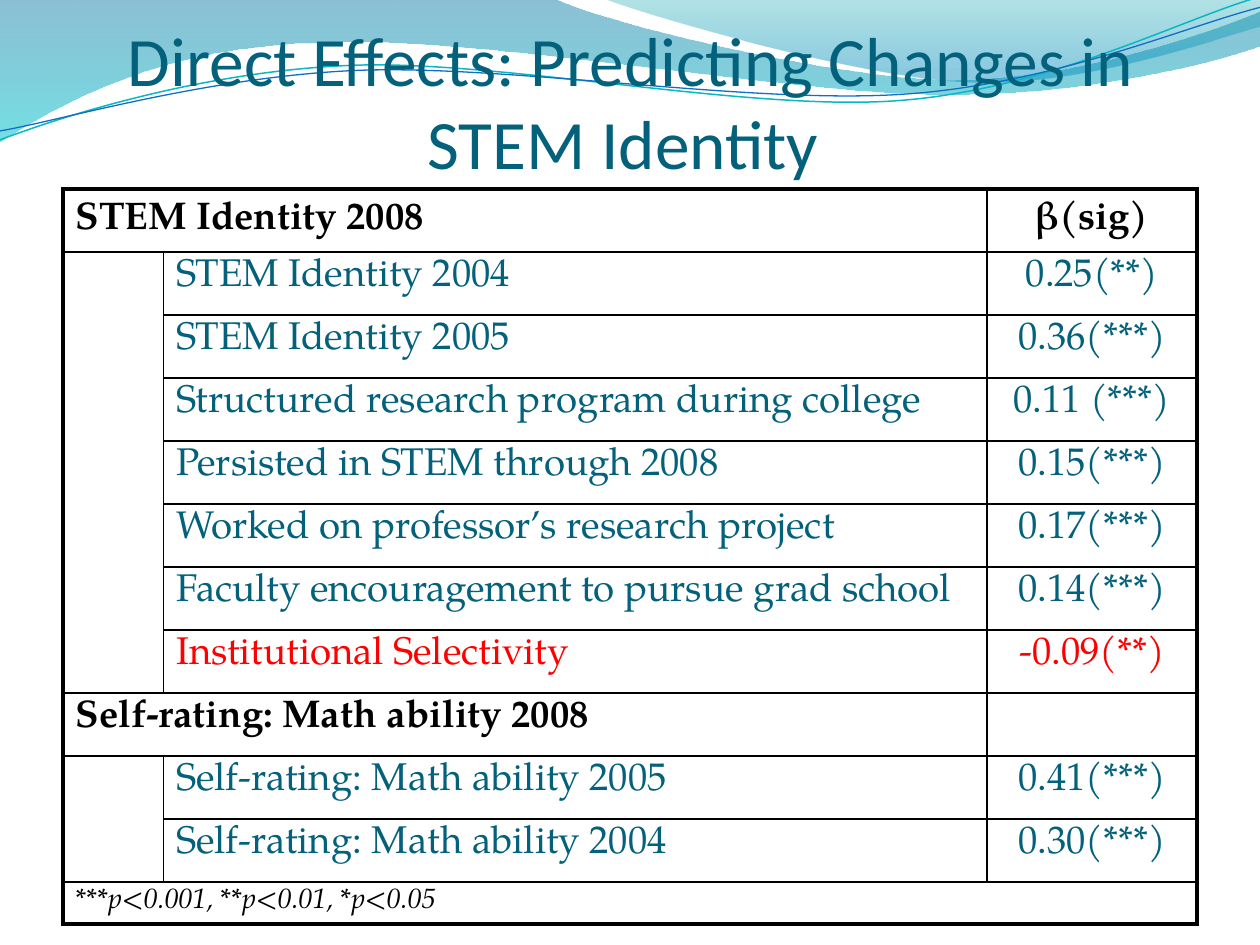
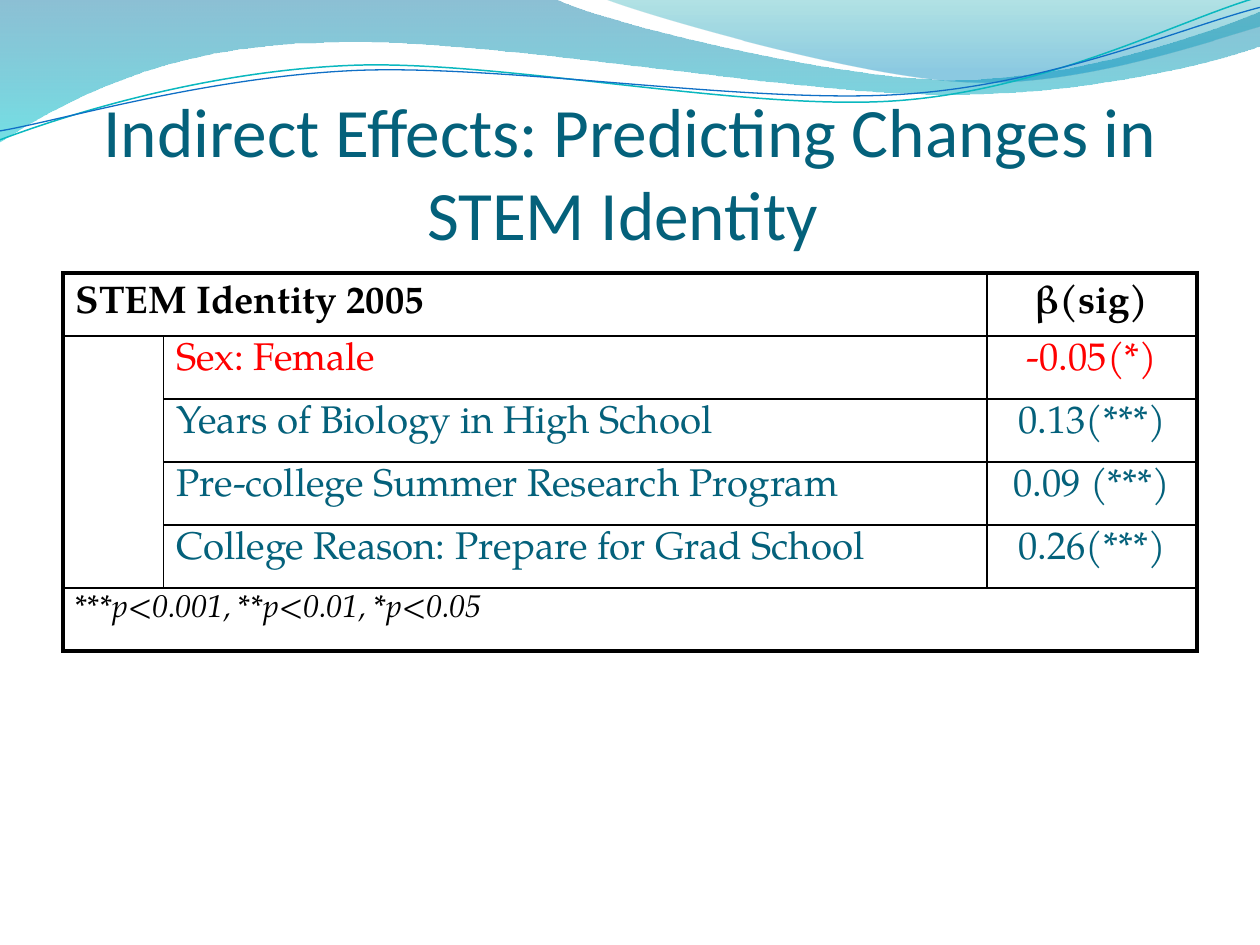
from dataclasses import dataclass
from itertools import chain, product

from lxml import etree
from pptx import Presentation
from pptx.dml.color import RGBColor
from pptx.enum.text import MSO_ANCHOR, PP_ALIGN
from pptx.oxml.ns import qn
from pptx.util import Cm, Pt

LEFT, CENTER = PP_ALIGN.LEFT, PP_ALIGN.CENTER
TOP, MIDDLE, BOTTOM = MSO_ANCHOR.TOP, MSO_ANCHOR.MIDDLE, MSO_ANCHOR.BOTTOM
BLANK_LAYOUT = 6


@dataclass(frozen=True)
class Theme:
    ink: str = "000000"
    teal: str = "04617B"
    negative: str = "FF0000"
    title_font: str = "Calibri"
    table_font: str = "TeX Gyre Pagella"
    title_size: float = 39.6
    cell_size: float = 22
    thin: float = 1
    thick: float = 2.25
    margin: float = 1.27
    content_width: float = 22.86
    columns: tuple = (2.03, 16.6, 4.23)
    row_height: float = 1.27
    note_bottom: float = 0.04


BANDS = [
    ([(0, "0074A1", 45), (1, "00C6CF", 55)], (0, -0.03), [
        [(11.18, -0.03)],
        [(12.09, 0.43), (16.87, 1.6), (19.25, 1.6)],
        [(21.67, 1.6), (24.33, 0.66), (25.4, 0.23)],
        [(25.43, 0.91)],
        [(24.97, 1.12), (22.1, 1.93), (18.95, 1.9)],
        [(15.8, 1.9), (9.7, 0.71), (6.53, 0.86)],
        [(3.28, 0.89), (1.17, 2.11), (-0.03, 2.87)],
        [(0, -0.03)],
    ]),
    ([(0, "00A1A9", 30), (0.8, "008BBF", 45)], (12.17, -0.03), [
        [(12.93, 0.28), (17.32, 1.57), (19.53, 1.65)],
        [(21.74, 1.75), (24.41, 0.81), (25.4, 0.53)],
        [(25.4, 0)],
        [(12.17, -0.03)],
    ]),
]
STRANDS = [
    ("0AB8BF", 0.85, (0, 2.82), [
        [(1.22, 2.36), (4.01, 1.45), (7.04, 1.32)],
        [(10.03, 1.19), (15.06, 2.26), (18.11, 2.03)],
        [(21.16, 1.8), (23.83, 0.38), (25.35, -0.05)],
    ]),
    ("0F6FC6", 0.75, (0, 2.64), [
        [(1.19, 2.44), (4.17, 1.55), (7.19, 1.42)],
        [(10.24, 1.3), (15.16, 2.11), (18.21, 1.9)],
        [(21.23, 1.7), (23.9, 0.53), (25.4, 0.15)],
    ]),
]

DIRECT_EFFECTS = [
    ("STEM Identity 2008", "β(sig)", [
        ("STEM Identity 2004", "0.25(**)"),
        ("STEM Identity 2005", "0.36(***)"),
        ("Structured research program during college", "0.11 (***)"),
        ("Persisted in STEM through 2008", "0.15(***)"),
        ("Worked on professor’s research project", "0.17(***)"),
        ("Faculty encouragement to pursue grad school", "0.14(***)"),
        ("Institutional Selectivity", "-0.09(**)"),
    ]),
    ("Self-rating: Math ability 2008", "", [
        ("Self-rating: Math ability 2005", "0.41(***)"),
        ("Self-rating: Math ability 2004", "0.30(***)"),
    ]),
]
INDIRECT_EFFECTS = [
    ("STEM Identity 2005", "β(sig)", [
        ("Sex: Female", "-0.05(*)"),
        ("Years of Biology in High School", "0.13(***)"),
        ("Pre-college Summer Research Program", "0.09 (***)"),
        ("College Reason: Prepare for Grad School", "0.26(***)"),
    ]),
]
SIGNIFICANCE = "***p<0.001, **p<0.01, *p<0.05"


def write(frame, text, *, font, size, color, align=LEFT, bold=False, italic=False):
    para = frame.paragraphs[0]
    para.alignment = align
    span = para.add_run()
    span.text = text
    span.font.name = font
    span.font.size = Pt(size)
    span.font.bold = bold
    span.font.italic = italic
    span.font.color.rgb = RGBColor.from_string(color)


class SlideBuilder:
    def __init__(self, deck, theme):
        self.deck = deck
        self.theme = theme
        self.layout = deck.slide_layouts[BLANK_LAYOUT]
        self.page = None

    def new_page(self):
        self.page = self.deck.slides.add_slide(self.layout)

    def shared_waves(self):
        for holder in list(self.layout.placeholders):
            self.layout.shapes.element.remove(holder.element)
        waves = [self.band(*band) for band in BANDS]
        waves += [self.strand(*strand) for strand in STRANDS]
        for wave in waves:
            self.layout.shapes.element.append(wave.element)

    def outline(self, start, segments):
        points = [(Cm(x), Cm(y)) for x, y in chain([start], *segments)]
        builder = self.page.shapes.build_freeform(*points[0], scale=1.0)
        builder.add_line_segments(points[1:], close=start == segments[-1][-1])
        shape = builder.convert_to_shape()
        shape.shadow.inherit = False
        lines = iter(list(shape.element.iter(qn("a:lnTo"))))
        for segment in segments:
            steps = [next(lines) for _ in segment]
            if len(steps) == 3:
                curve = etree.Element(qn("a:cubicBezTo"))
                steps[0].addprevious(curve)
                for step in steps:
                    curve.append(step[0])
                    step.getparent().remove(step)
        return shape

    def band(self, stops, start, segments):
        shape = self.outline(start, segments)
        shape.line.fill.background()
        shape.fill.gradient()
        shape.fill.gradient_angle = 270
        for stop, (position, color, _) in zip(shape.fill.gradient_stops, stops):
            stop.position = position
            stop.color.rgb = RGBColor.from_string(color)
        gradient = shape.element.spPr.find(qn("a:gradFill"))
        for tint, (_, _, opacity) in zip(gradient.iter(qn("a:srgbClr")), stops):
            etree.SubElement(tint, qn("a:alpha")).set("val", str(opacity * 1000))
        return shape

    def strand(self, color, width, start, segments):
        shape = self.outline(start, segments)
        shape.fill.background()
        shape.line.color.rgb = RGBColor.from_string(color)
        shape.line.width = Pt(width)
        return shape

    def title(self, text, left, top, height):
        theme = self.theme
        box = self.page.shapes.add_textbox(
            Cm(left), Cm(top), Cm(theme.content_width), Cm(height))
        frame = box.text_frame
        frame.word_wrap = True
        frame.vertical_anchor = BOTTOM
        frame.margin_left = frame.margin_right = frame.margin_bottom = 0
        write(frame, text, font=theme.title_font, size=theme.title_size,
              color=theme.teal, align=CENTER)

    def cell_text(self, cell, text, anchor=TOP, **style):
        cell.vertical_anchor = anchor
        if text:
            style = {"size": self.theme.cell_size, "color": self.theme.ink, **style}
            write(cell.text_frame, text, font=self.theme.table_font, **style)

    def border(self, cell, sides):
        properties = cell._tc.get_or_add_tcPr()
        for index, (side, width) in enumerate(sides):
            line = etree.Element(qn(f"a:ln{side}"), w=str(Pt(width)))
            fill = etree.SubElement(line, qn("a:solidFill"))
            etree.SubElement(fill, qn("a:srgbClr"), val=self.theme.ink)
            properties.insert(index, line)

    def region(self, table, top, left, bottom, right):
        theme = self.theme
        if (top, left) != (bottom, right):
            table.cell(top, left).merge(table.cell(bottom, right))
        last_row, last_column = len(table.rows) - 1, len(table.columns) - 1
        for row, column in product(range(top, bottom + 1), range(left, right + 1)):
            cell = table.cell(row, column)
            cell.fill.background()
            origin = (row, column) == (top, left)
            edges = [("L", column == left, left == 0),
                     ("R", column == right, right == last_column),
                     ("T", row == top, top == 0),
                     ("B", row == bottom, bottom == last_row)]
            self.border(cell, [(side, theme.thick if outer else theme.thin)
                               for side, on_edge, outer in edges if origin or on_edge])
        return table.cell(top, left)

    def effects_table(self, groups, top, note_size, note_height):
        theme = self.theme
        count = sum(1 + len(effects) for _, _, effects in groups) + 1
        heights = [theme.row_height] * (count - 1) + [note_height]
        table = self.page.shapes.add_table(
            count, len(theme.columns), Cm(theme.margin), Cm(top),
            Cm(theme.content_width), Cm(sum(heights))).table
        table.first_row = table.horz_banding = False
        for column, width in zip(table.columns, theme.columns):
            column.width = Cm(width)
        for row, height in zip(table.rows, heights):
            row.height = Cm(height)

        row = 0
        for outcome, heading, effects in groups:
            anchor = MIDDLE if row == 0 else TOP
            self.cell_text(self.region(table, row, 0, row, 1), outcome, anchor, bold=True)
            self.cell_text(self.region(table, row, 2, row, 2), heading, anchor,
                           bold=True, align=CENTER)
            self.region(table, row + 1, 0, row + len(effects), 0)
            for row, (predictor, beta) in enumerate(effects, row + 1):
                color = theme.negative if beta.startswith("-") else theme.teal
                self.cell_text(self.region(table, row, 1, row, 1), predictor, color=color)
                self.cell_text(self.region(table, row, 2, row, 2), beta,
                               color=color, align=CENTER)
            row += 1
        note = self.region(table, row, 0, row, 2)
        note.margin_bottom = Cm(theme.note_bottom)
        self.cell_text(note, SIGNIFICANCE, size=note_size, italic=True)


def main():
    deck = Presentation()
    deck.slide_width, deck.slide_height = Cm(25.4), Cm(19.05)
    slides = SlideBuilder(deck, Theme())

    slides.new_page()
    slides.shared_waves()
    slides.title("Direct Effects: Predicting Changes in STEM Identity ",
                 left=1.29, top=0.92, height=2.78)
    slides.effects_table(DIRECT_EFFECTS, top=3.81, note_size=16, note_height=0.84)

    slides.new_page()
    slides.title("Indirect Effects: Predicting Changes in STEM Identity ",
                 left=1.28, top=1.96, height=3.17)
    slides.effects_table(INDIRECT_EFFECTS, top=5.5, note_size=18, note_height=1.27)

    deck.save("out.pptx")


if __name__ == "__main__":
    main()
